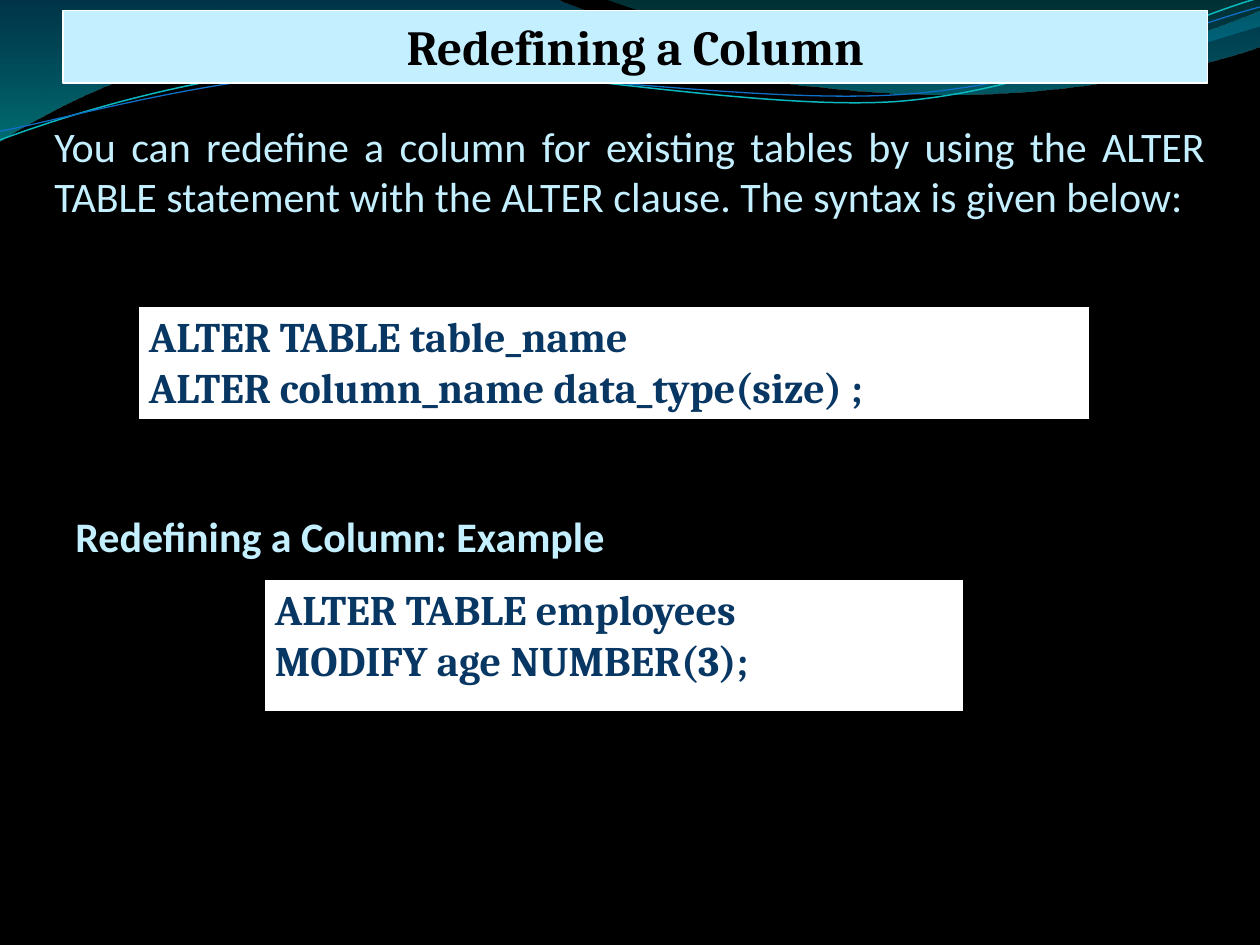
from dataclasses import dataclass

from lxml.etree import SubElement
from pptx import Presentation
from pptx.dml.color import RGBColor
from pptx.enum.shapes import MSO_SHAPE as Shape
from pptx.enum.text import MSO_ANCHOR as Anchor, MSO_AUTO_SIZE as AutoSize, PP_ALIGN as Align
from pptx.oxml.ns import qn
from pptx.util import Pt


@dataclass(frozen=True)
class Theme:
    background: str = "000000"
    pale: str = "C4EFFF"
    white: str = "FFFFFF"
    black: str = "000000"
    navy: str = "083763"
    teal_line: str = "0AB8BF"
    blue_line: str = "0F6FC6"
    heading_font: str = "Cambria"
    body_font: str = "Calibri"
    title_size: int = 28
    body_size: int = 24


THEME = Theme()
STRAND_TILT = -2.7

# Wave outlines in points: a pair is a corner, six numbers are a Bézier curve.
# Gradient stops are colour, position and opacity.
BANDS = [
    ([(0, 0), (317, -1), (343, 12, 478, 45, 546, 45), (614, 45, 690, 19, 720, 6),
      (721, 26), (708, 32, 626, 55, 537, 54), (448, 54, 275, 20, 185, 24),
      (93, 26, 33, 60, -1, 81), (0, 0)],
     [("0074A1", 0, 45), ("00C6CF", 1, 55)]),
    ([(345, -1), (367, 8, 491, 45, 554, 47), (616, 50, 692, 23, 720, 15), (720, 0),
      (345, -1)],
     [("00A1A9", 0, 30), ("008BBF", 0.8, 45)]),
]
STRANDS = [
    ([(-1.4, 63), (34, 51.7, 114, 29.4, 199.4, 29.4), (284.4, 30.5, 426, 67, 512, 65.2),
      (599, 62.3, 676, 26, 720.5, 16)], THEME.teal_line, 0.85),
    ([(-1.2, 58), (33, 53.6, 118, 32.6, 204.3, 32.7), (290.3, 33.7, 429, 63.3, 515.3, 61.3),
      (601.4, 59.4, 679, 30, 721.3, 21)], THEME.blue_line, 0.75),
]


def rgb(color):
    return RGBColor.from_string(color)


def set_all(target, values):
    for name, value in values.items():
        setattr(target, name, value)


def set_line(shape, color, width):
    shape.line.color.rgb = rgb(color)
    shape.line.width = Pt(width)


def add_outline(slide, left, top, segments, close):
    """Draw every point as a corner, then join each curve's three into one Bézier."""
    points = [(Pt(left + x), Pt(top + y)) for segment in segments
              for x, y in zip(segment[::2], segment[1::2])]
    builder = slide.shapes.build_freeform(*points[0])
    builder.add_line_segments(points[1:], close=close)
    shape = builder.convert_to_shape()
    shape.shadow.inherit = False
    corners = iter(list(shape._element.iter(qn("a:lnTo"))))
    for segment in segments[1:]:
        corner = next(corners)
        if len(segment) == 6:
            curve = SubElement(corner.getparent(), qn("a:cubicBezTo"))
            corner.addprevious(curve)
            for step in (corner, next(corners), next(corners)):
                curve.append(step[0])
                step.getparent().remove(step)
    return shape


def add_waves(slide, left, top):
    # Translucent bands
    for segments, stops in BANDS:
        band = add_outline(slide, left, top, segments, True)
        band.line.fill.background()
        band.fill.gradient()
        band.fill.gradient_angle = 270
        for stop, (color, position, _) in zip(band.fill.gradient_stops, stops):
            stop.color.rgb = rgb(color)
            stop.position = position
        for element, (_, _, opacity) in zip(band._element.spPr.iter(qn("a:srgbClr")), stops):
            SubElement(element, qn("a:alpha")).set("val", str(opacity * 1000))
    # Thin strands
    for segments, color, width in STRANDS:
        strand = add_outline(slide, left, top, segments, False)
        strand.rotation = STRAND_TILT
        strand.fill.background()
        set_line(strand, color, width)


def write(shape, lines, font, align=Align.LEFT, **frame):
    set_all(shape.text_frame, {"word_wrap": True, "vertical_anchor": Anchor.TOP, **frame})
    for index, line in enumerate(lines):
        paragraphs = shape.text_frame.paragraphs
        paragraph = paragraphs[0] if index == 0 else shape.text_frame.add_paragraph()
        paragraph.alignment = align
        run = paragraph.add_run()
        run.text = line
        set_all(run.font, {key: value for key, value in font.items() if key != "color"})
        run.font.color.rgb = rgb(font["color"])


def add_panel(slide, box, fill, line, width):
    panel = slide.shapes.add_shape(Shape.RECTANGLE, *map(Pt, box))
    panel.shadow.inherit = False
    panel.fill.solid()
    panel.fill.fore_color.rgb = rgb(fill)
    set_line(panel, line, width)
    return panel


def add_title(slide, box, text):
    panel = add_panel(slide, box, THEME.pale, THEME.white, 0.75)
    font = {"name": THEME.heading_font, "size": Pt(THEME.title_size), "bold": True,
            "color": THEME.black}
    write(panel, [text], font, Align.CENTER, auto_size=AutoSize.SHAPE_TO_FIT_TEXT)


def add_body(slide, box, text, align=Align.LEFT, bold=False):
    body = slide.shapes.add_textbox(*map(Pt, box))
    font = {"name": THEME.body_font, "size": Pt(THEME.body_size), "bold": bold,
            "color": THEME.pale}
    write(body, [text], font, align, vertical_anchor=Anchor.MIDDLE,
          auto_size=AutoSize.SHAPE_TO_FIT_TEXT)


def add_code(slide, box, lines):
    panel = add_panel(slide, box, THEME.white, THEME.black, 3)
    font = {"name": THEME.heading_font, "size": Pt(THEME.body_size), "bold": True,
            "color": THEME.navy}
    write(panel, lines, font)


def main():
    presentation = Presentation()
    set_all(presentation, {"slide_width": Pt(720), "slide_height": Pt(540)})
    slide = presentation.slides.add_slide(presentation.slide_layouts[6])
    slide.background.fill.solid()
    slide.background.fill.fore_color.rgb = rgb(THEME.background)

    # Backdrop and title
    add_waves(slide, 0, 0)
    add_title(slide, (36, 6, 654, 41.5), "Redefining a Column")

    # Syntax
    add_body(slide, (24, 64.75, 672, 65.5),
             "You can redefine a column for existing tables by using the ALTER TABLE "
             "statement with the ALTER clause. The syntax is given below:", Align.JUSTIFY)
    add_code(slide, (78, 174, 546, 66.75),
             ["ALTER TABLE table_name", "ALTER column_name data_type(size) ;"])

    # Example
    add_body(slide, (36, 288, 384, 36), "Redefining a Column: Example", bold=True)
    add_code(slide, (150, 330, 402, 78), ["ALTER TABLE employees", "MODIFY age NUMBER(3);"])

    presentation.save("out.pptx")


if __name__ == "__main__":
    main()
